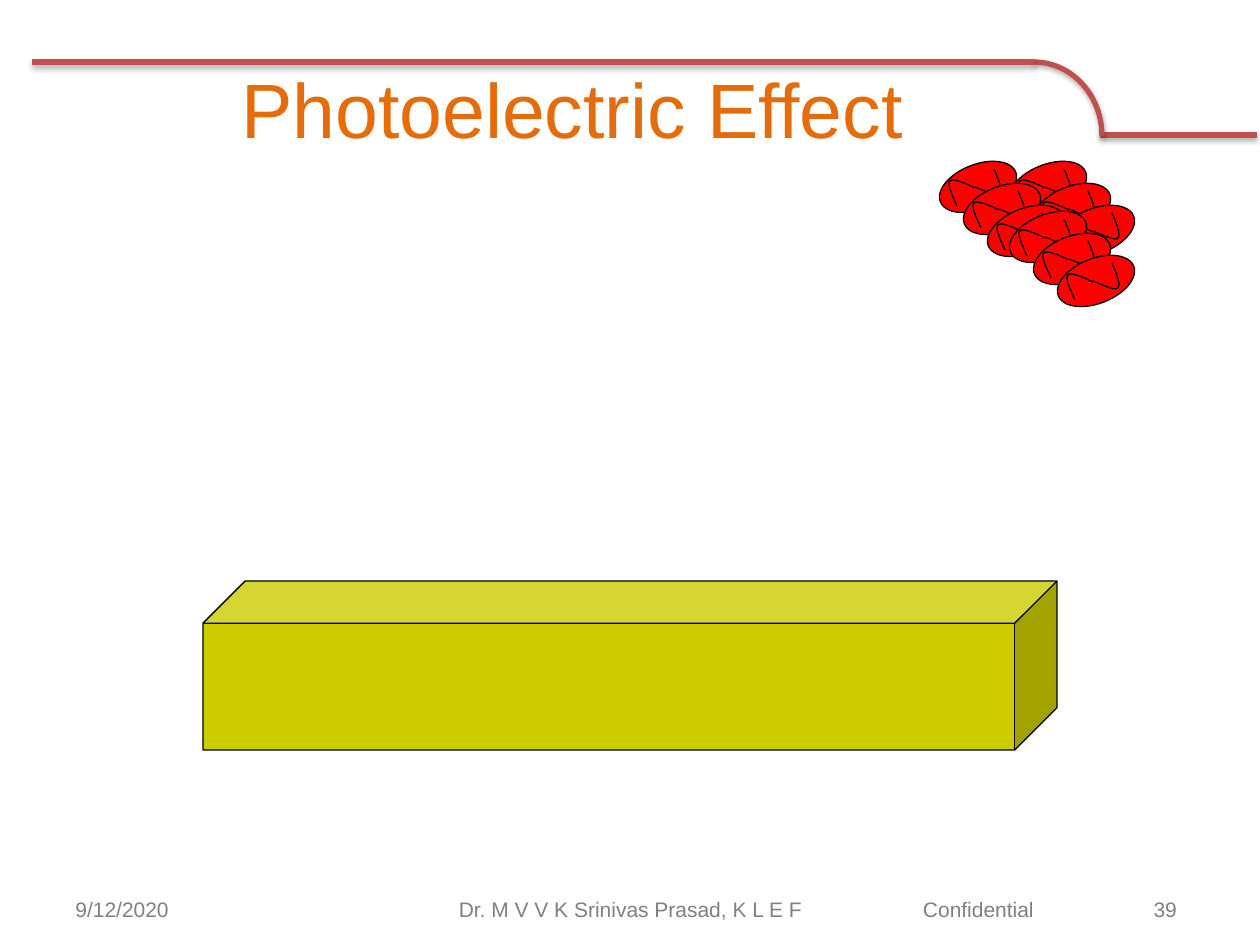
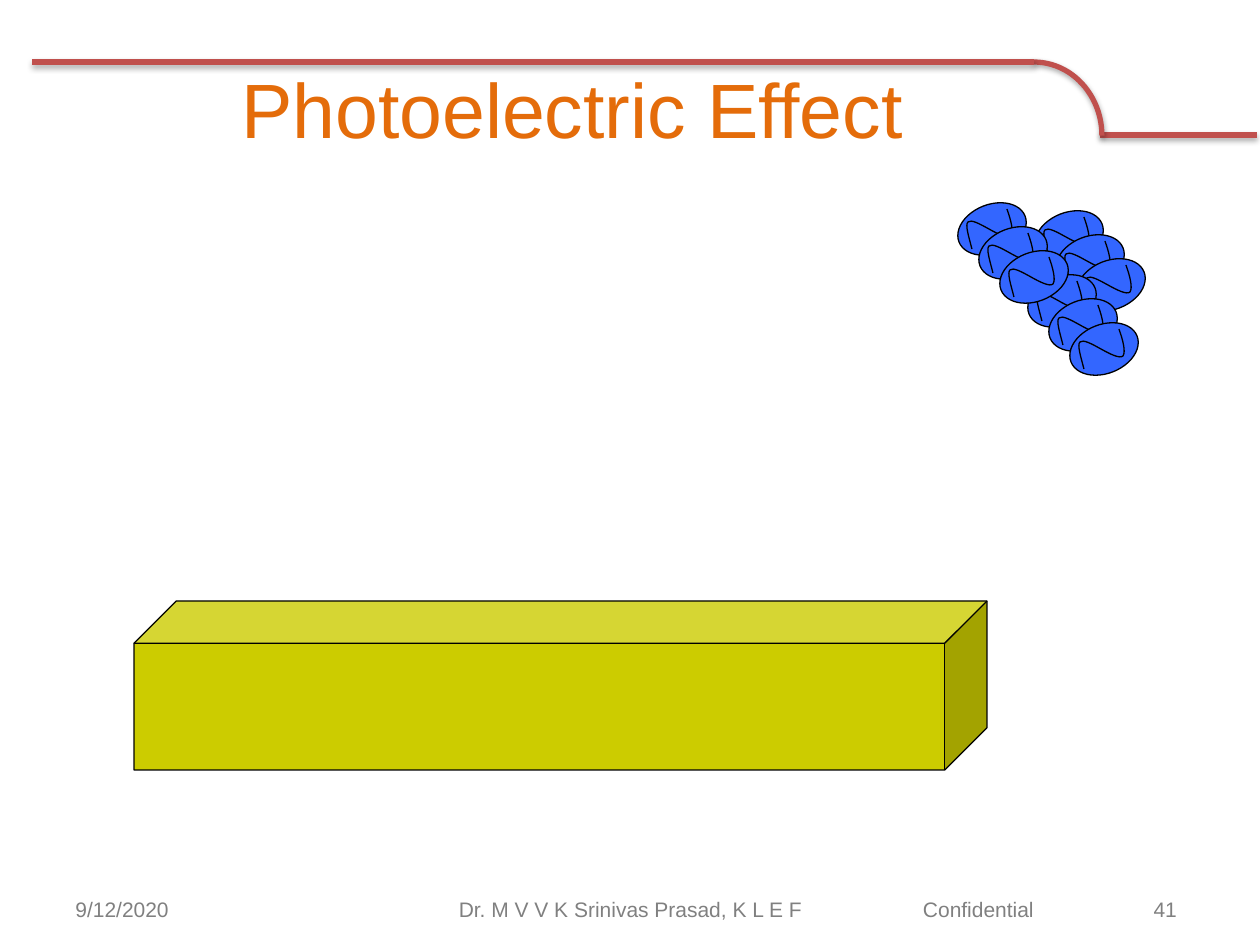
import pptx
import pptx.dml.color
import pptx.enum.shapes
import pptx.enum.text
import pptx.oxml
import pptx.oxml.ns
import pptx.util

PX = 914400 / 126
SHAPE = pptx.enum.shapes.MSO_SHAPE
ALIGN = pptx.enum.text.PP_ALIGN
NS = pptx.oxml.ns.nsdecls("a")
qn = pptx.oxml.ns.qn

# Shared look
FONT = "Arial"
BLACK, FRAME, TITLE, GREY, METAL = "000000", "C0504D", "E46C0A", "808080", "CCCC00"
SHADOW = (f'<a:effectLst {NS}><a:outerShdw blurRad="40000" dist="23000" dir="5400000" '
          'rotWithShape="0"><a:srgbClr val="000000"><a:alpha val="35000"/></a:srgbClr>'
          '</a:outerShdw></a:effectLst>')
DATE = "9/12/2020"
AUTHOR = "Dr. M V V K Srinivas Prasad, K L E F"
MARKING = "Confidential"
NUMBER_TAB = 254
PHOTON_TILT = 68.5
ROW_LENGTH = 3

# Photon rows start at a centre and go on by one step; each wave half is
# a start point and two Bezier curves, measured from the photon's centre
SLIDES = [
    {"title": "Photoelectric Effect", "number": 39, "plate": (203, 581, 854, 169),
     "photon": {"color": "FF0000", "wave_fill": "FF0000", "size": (45, 81),
                "rows": [(1048, 187), (978, 187), (1048, 237)], "step": (24, 22),
                "waves": [[(-3, 1), (-13, -4), (-25, -9), (-28, -6),
                           (-31, -3), (-26, 8), (-21, 19)],
                          [(-3, 0), (9, 5), (19, 10), (22, 7),
                           (25, 4), (21, -7), (16, -18)]]}},
    {"title": "Photoelectric Effect", "number": 41, "plate": (134, 601, 853, 169),
     "photon": {"color": "3366FF", "wave_fill": None, "size": (49, 71),
                "rows": [(1069, 237), (1062, 301), (992, 229)], "step": (21, 24),
                "waves": [[(-3, 0), (-12, -5), (-21, -10), (-24, -7),
                           (-27, -4), (-23, 8), (-20, 20)],
                          [(-3, 0), (6, 5), (16, 10), (19, 7),
                           (22, 3), (19, -9), (15, -20)]]}},
]


def emu(*lengths):
    return [round(length * PX) for length in lengths]


def rgb(color):
    return pptx.dml.color.RGBColor.from_string(color)


def style(shape, fill=None, line=BLACK, width=0.75):
    shape.shadow.inherit = False
    if fill:
        shape.fill.solid()
        shape.fill.fore_color.rgb = rgb(fill)
    else:
        shape.fill.background()
    shape.line.color.rgb = rgb(line)
    shape.line.width = pptx.util.Pt(width)


def add_text(slide, text, box, size=12, color=GREY, align=ALIGN.LEFT, inset=None, tab=None):
    frame = slide.shapes.add_textbox(*emu(*box)).text_frame
    frame.word_wrap = True
    frame.vertical_anchor = pptx.enum.text.MSO_ANCHOR.MIDDLE
    if inset is not None:
        frame.margin_left = emu(inset)[0]
    paragraph = frame.paragraphs[0]
    paragraph.alignment = align
    if tab is not None:
        paragraph._p.get_or_add_pPr().append(pptx.oxml.parse_xml(
            f'<a:tabLst {NS}><a:tab pos="{emu(tab)[0]}" algn="r"/></a:tabLst>'))
    run = paragraph.add_run()
    run.text = text
    run.font.name = FONT
    run.font.size = pptx.util.Pt(size)
    run.font.color.rgb = rgb(color)


def add_frame(slide):
    """Shadowed rule across the top that steps down on the right."""
    def add_rule(*ends):
        rule = slide.shapes.add_connector(
            pptx.enum.shapes.MSO_CONNECTOR.STRAIGHT, *emu(*ends))
        rule.line.color.rgb = rgb(FRAME)
        rule.line.width = pptx.util.Pt(3)
        rule._element.spPr.append(pptx.oxml.parse_xml(SHADOW))

    add_rule(1100, 135, 1257, 135)
    bend = slide.shapes.add_shape(SHAPE.ARC, *emu(966, 62, 136, 147))
    style(bend, line=FRAME, width=3)
    properties = bend._element.spPr
    properties.replace(properties.find(qn("a:effectLst")), pptx.oxml.parse_xml(SHADOW))
    add_rule(1034, 62, 32, 62)


def add_curve(shapes, points):
    """Start point, then three control points for each cubic Bezier."""
    builder = shapes.build_freeform(*points[0], scale=1.0)
    builder.add_line_segments(points[1:], close=False)
    curve = builder.convert_to_shape()
    lines = list(curve._element.iter(qn("a:lnTo")))
    for first in range(0, len(lines), 3):
        bezier = pptx.oxml.parse_xml(f"<a:cubicBezTo {NS}/>")
        lines[first].addprevious(bezier)
        for line in lines[first:first + 3]:
            bezier.append(line[0])
            line.getparent().remove(line)
    return curve


def add_photon(shapes, x, y, photon):
    width, height = photon["size"]
    body = shapes.add_shape(SHAPE.OVAL, *emu(x - width / 2, y - height / 2, width, height))
    body.rotation = PHOTON_TILT
    style(body, photon["color"])
    for controls in photon["waves"]:
        wave = add_curve(shapes, [emu(x + dx, y + dy) for dx, dy in controls])
        style(wave, photon["wave_fill"])


def add_photons(slide, photon):
    group = slide.shapes.add_group_shape()
    step_x, step_y = photon["step"]
    for x, y in photon["rows"]:
        for place in range(ROW_LENGTH):
            add_photon(group.shapes, x + place * step_x, y + place * step_y, photon)


def add_footer(slide, number):
    add_text(slide, DATE, (63, 884, 294, 50))
    add_text(slide, AUTHOR, (431, 884, 399, 50), align=ALIGN.CENTER)
    add_text(slide, f"{MARKING}\t{number}", (903, 884, 294, 50), inset=20, tab=NUMBER_TAB)


def main():
    deck = pptx.Presentation()
    deck.slide_width, deck.slide_height = emu(1260, 945)
    for content in SLIDES:
        slide = deck.slides.add_slide(deck.slide_layouts[6])
        add_frame(slide)
        add_photons(slide, content["photon"])
        add_text(slide, content["title"], (63, 62, 1019, 91),
                 size=44, color=TITLE, align=ALIGN.CENTER)
        # Metal plate
        plate = slide.shapes.add_shape(SHAPE.CUBE, *emu(*content["plate"]))
        plate.adjustments[0] = 0.25
        style(plate, METAL)
        add_footer(slide, content["number"])
    deck.save("out.pptx")


if __name__ == "__main__":
    main()
